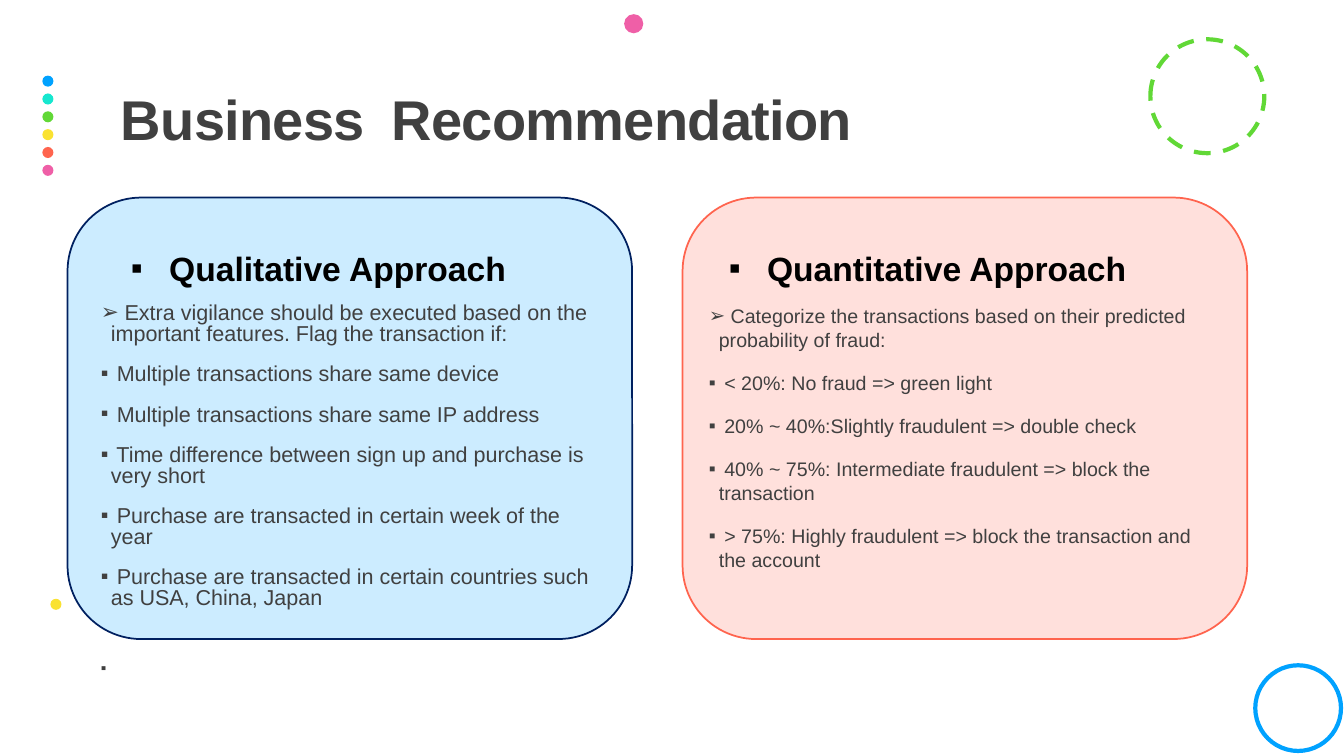
from lxml import etree
from pptx import Presentation
from pptx.dml.color import RGBColor
from pptx.enum import dml, shapes, text
from pptx.oxml.ns import qn
from pptx.util import Inches, Pt

COLORS = {
    "blue": "00A2FF", "teal": "16E7CF", "green": "61D836", "yellow": "FAE232",
    "coral": "FF644E", "pink": "EF5FA7", "navy": "002060", "pale_blue": "CCECFF",
    "pale_coral": "FFE0DC", "black": "000000", "gray": "404040",
}
FONT = "Arial"
ARROW, SQUARE = "➢", "▪"

# text, size, font, bold
TITLE = [
    ("Business", 40, FONT, True),
    (" ", 32, "DejaVu Sans Mono", False),
    ("Recommendation", 40, FONT, True),
]
APPROACHES = [
    {
        "heading": "Qualitative Approach", "heading_left": 1.2,
        "card_left": 0.67, "fill": "pale_blue", "line": "navy",
        "body_box": (1, 2.97, 5.03, 3.72), "size": 15.4, "line_spacing": 0.8,
        "points": [
            " Extra vigilance should be executed based on the important features. Flag the transaction if:",
            " Multiple transactions share same device",
            " Multiple transactions share same IP address",
            " Time difference between sign up and purchase is very short",
            " Purchase are transacted in certain week of the year",
            " Purchase are transacted in certain countries such as USA, China, Japan",
        ],
        "lone_bullet": True,
    },
    {
        "heading": "Quantitative Approach", "heading_left": 7.13,
        "card_left": 6.77, "fill": "pale_coral", "line": "coral",
        "body_box": (7.03, 2.97, 5.07, 3.8), "size": 14, "line_spacing": 1.0,
        "points": [
            " Categorize the transactions based on their predicted probability of fraud:",
            " < 20%: No fraud => green light",
            " 20% ~ 40%:Slightly fraudulent => double check",
            " 40% ~ 75%: Intermediate fraudulent => block the transaction",
            " > 75%: Highly fraudulent => block the transaction and the account",
        ],
        "lone_bullet": False,
    },
]
DOT_COLUMN = ["blue", "teal", "green", "yellow", "coral", "pink"]
DOT_LEFT, DOT_TOP, DOT_STEP, DOT_SIZE = 0.42, 0.75, 0.177, 0.11
# left, top, diameter, color
LOOSE_DOTS = [(0.5, 5.94, 0.11, "yellow"), (6.19, 0.14, 0.19, "pink")]
# left, top, diameter, color, dash
RINGS = [
    (11.41, 0.39, 1.13, "green", dml.MSO_LINE.DASH),
    (12.45, 6.6, 0.85, "blue", None),
]


def rgb(name):
    return RGBColor.from_string(COLORS[name])


def add_figure(slide, kind, box, fill=None, line=None, width=0, dash=None):
    figure = slide.shapes.add_shape(kind, *map(Inches, box))
    figure.shadow.inherit = False
    if fill:
        figure.fill.solid()
        figure.fill.fore_color.rgb = rgb(fill)
    else:
        figure.fill.background()
    if line:
        figure.line.color.rgb = rgb(line)
        figure.line.width = Pt(width)
        if dash:
            figure.line.dash_style = dash
    else:
        figure.line.fill.background()


def add_frame(slide, box, side_inset, anchor):
    frame = slide.shapes.add_textbox(*map(Inches, box)).text_frame
    frame.word_wrap = True
    frame.margin_left = frame.margin_right = Inches(side_inset)
    frame.vertical_anchor = anchor
    return frame


def style(run, size, color, font=FONT, bold=False):
    run.font.size = Pt(size)
    run.font.name = font
    run.font.bold = bold
    run.font.color.rgb = rgb(color)


def set_bullet(paragraph, mark, indent, before=12):
    """Give the paragraph a hanging bullet and the spacing all lists share."""
    paragraph.space_before, paragraph.space_after = Pt(before), Pt(2)
    props = paragraph._p.get_or_add_pPr()
    props.set("marL", str(Inches(indent)))
    props.set("indent", str(-Inches(indent)))
    etree.SubElement(props, qn("a:buFont")).set("typeface", FONT)
    etree.SubElement(props, qn("a:buChar")).set("char", mark)


def add_title(slide):
    frame = add_frame(slide, (1.2, 0.46, 11, 1.5), 0, text.MSO_ANCHOR.MIDDLE)
    title = frame.paragraphs[0]
    title.line_spacing = 0.9
    for words, size, font, bold in TITLE:
        run = title.add_run()
        run.text = words
        style(run, size, "gray", font, bold)
        run.font._element.set("spc", "-50")


def add_approach(slide, approach):
    frame = add_frame(slide, (approach["heading_left"], 2.25, 5.07, 0.81), 0.1,
                      text.MSO_ANCHOR.MIDDLE)
    heading = frame.paragraphs[0]
    heading.text = approach["heading"]
    style(heading.runs[0], 24, "black", bold=True)
    set_bullet(heading, SQUARE, 0.38)

    items = [(point, approach["size"], 12) for point in approach["points"]]
    if approach["lone_bullet"]:
        items.append((" ", 11.2, 36))
    frame = add_frame(slide, approach["body_box"], 0, text.MSO_ANCHOR.TOP)
    for i, (point, size, before) in enumerate(items):
        paragraph = frame.add_paragraph() if i else frame.paragraphs[0]
        paragraph.text = point
        paragraph.line_spacing = approach["line_spacing"]
        style(paragraph.runs[0], size, "gray")
        set_bullet(paragraph, SQUARE if i else ARROW, 0.1, before)


def main():
    deck = Presentation()
    deck.slide_width, deck.slide_height = Inches(13.33), Inches(7.5)
    slide = deck.slides.add_slide(deck.slide_layouts[6])
    oval = shapes.MSO_SHAPE.OVAL

    column = [(DOT_LEFT, DOT_TOP + i * DOT_STEP, DOT_SIZE, color)
              for i, color in enumerate(DOT_COLUMN)]
    for left, top, size, color in column + LOOSE_DOTS:
        add_figure(slide, oval, (left, top, size, size), fill=color)
    for left, top, size, color, dash in RINGS:
        add_figure(slide, oval, (left, top, size, size), line=color, width=3, dash=dash)

    for approach in APPROACHES:
        add_figure(slide, shapes.MSO_SHAPE.ROUNDED_RECTANGLE,
                   (approach["card_left"], 1.96, 5.6, 4.38),
                   approach["fill"], approach["line"], 1.25)
        add_approach(slide, approach)
    add_title(slide)
    deck.save("out.pptx")


if __name__ == "__main__":
    main()
